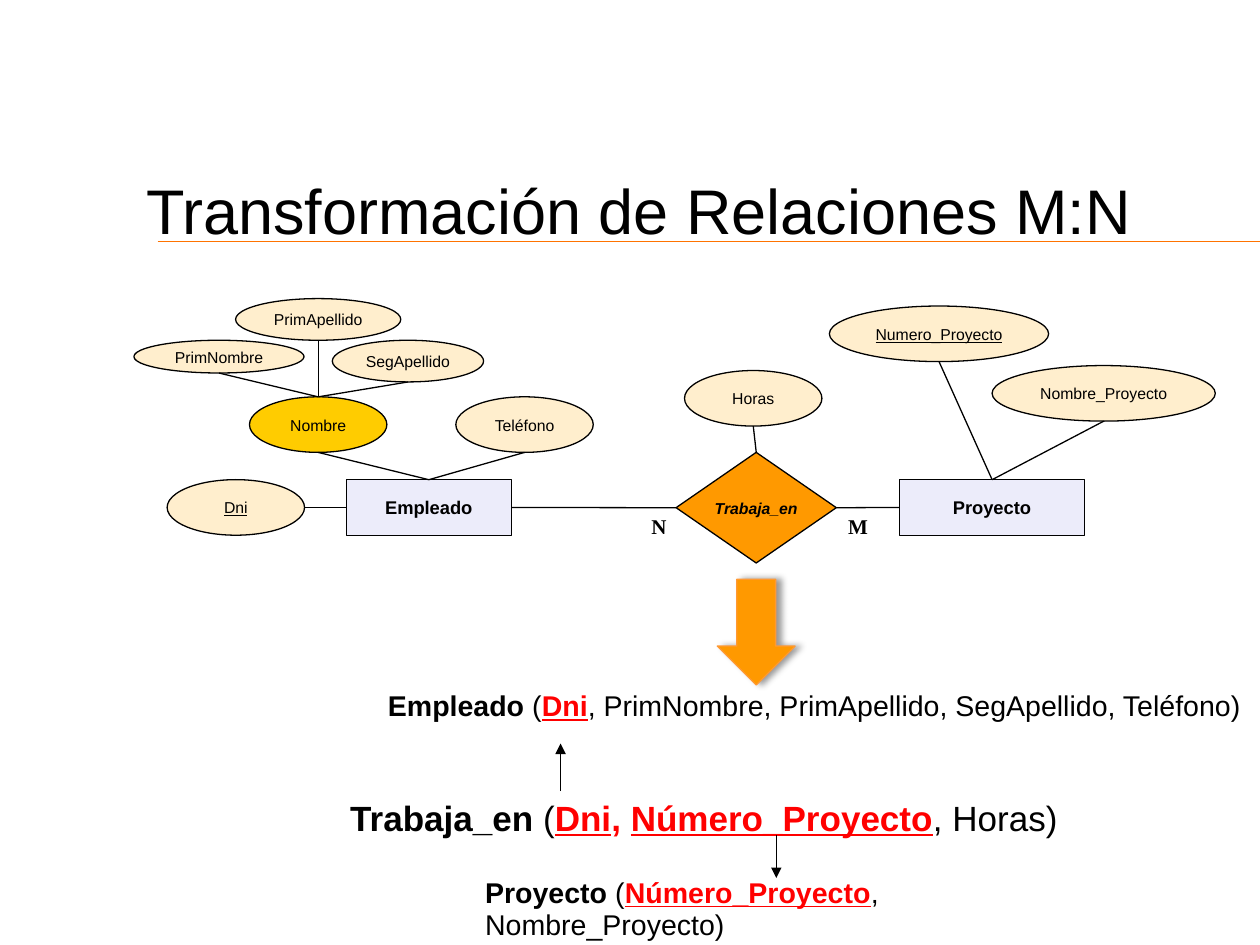
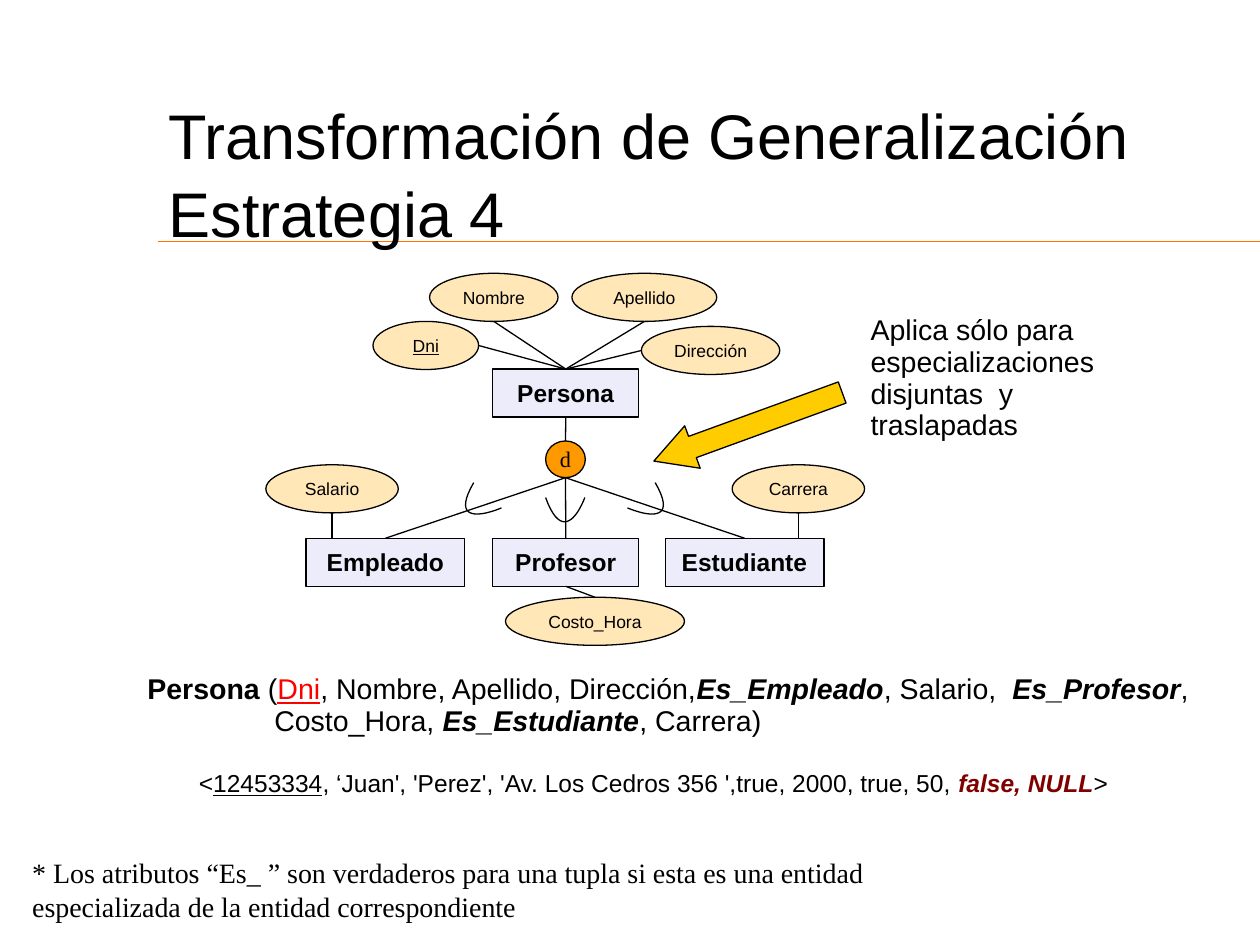
from dataclasses import dataclass

from lxml import etree
from pptx import Presentation
from pptx import util as u
from pptx.dml.color import RGBColor
from pptx.enum import shapes, text
from pptx.oxml import ns


@dataclass(frozen=True)
class Theme:
    sans: str = "Arial"
    serif: str = "Times New Roman"
    ink: str = "000000"
    red: str = "FF0000"
    maroon: str = "800000"
    rule: str = "FF7300"
    entity: str = "ECECFA"
    orange: str = "FF9900"
    arrow_edge: str = "FF9933"
    yellow: str = "FFCC00"
    line: float = 0.75
    title: float = 36
    schema: float = 16.3
    main_schema: float = 20
    sample: float = 14
    note: float = 16
    cardinality: float = 12
    spacing: float = 0.93


T = Theme()
Cm = u.Cm
AUTO = shapes.MSO_SHAPE
INSETS = (0.23, 0.15, 0.23, 0.1)
TITLE_INSETS = (0.25, 0.03, 0.25, 0.13)

MN_STYLES = {
    "attribute": (AUTO.OVAL, "FFEECD", 9, T.sans, ""),
    "key": (AUTO.OVAL, "FFEECD", 9, T.sans, "u"),
    "composite": (AUTO.OVAL, T.yellow, 9, T.sans, ""),
    "entity": (AUTO.RECTANGLE, T.entity, 10.5, T.sans, "b"),
    "relation": (AUTO.DIAMOND, T.orange, 9, T.sans, "bi"),
}
MN_NODES = [
    ("Trabaja_en", "relation", 13.63, 9.12, 3.23, 2.23),
    ("Empleado", "entity", 6.98, 9.67, 3.33, 1.12),
    ("Proyecto", "entity", 18.13, 9.67, 3.74, 1.12),
    ("Dni", "key", 3.37, 9.67, 2.77, 1.12),
    ("Teléfono", "attribute", 9.19, 8, 2.77, 1.12),
    ("Nombre", "composite", 5.03, 8, 2.77, 1.12),
    ("PrimNombre", "attribute", 2.7, 6.86, 3.43, 0.66),
    ("PrimApellido", "attribute", 4.75, 6.02, 3.33, 0.84),
    ("SegApellido", "attribute", 6.7, 6.86, 3.05, 0.84),
    ("Numero_Proyecto", "key", 16.72, 6.17, 4.42, 1.12),
    ("Nombre_Proyecto", "attribute", 20, 7.37, 4.5, 1.12),
    ("Horas", "attribute", 13.8, 7.47, 2.77, 1.12),
]
MN_LINKS = [
    ("Empleado", "right", "Trabaja_en", "left"),
    ("Trabaja_en", "right", "Proyecto", "left"),
    ("Dni", "right", "Empleado", "left"),
    ("Nombre", "bottom", "Empleado", "top"),
    ("Teléfono", "bottom", "Empleado", "top"),
    ("PrimNombre", "bottom", "Nombre", "top"),
    ("PrimApellido", "bottom", "Nombre", "top"),
    ("SegApellido", "bottom", "Nombre", "top"),
    ("Numero_Proyecto", "bottom", "Proyecto", "top"),
    ("Nombre_Proyecto", "bottom", "Proyecto", "top"),
    ("Horas", "bottom", "Trabaja_en", "top"),
]
MN_CARDINALITIES = [("N", 12.9), ("M", 16.87)]
MN_SCHEMAS = [
    ((6.83, 15.98, 17.12, 1.12), T.main_schema, [
        ("Trabaja_en ", "b"), ("(", ""), ("Dni", "bur"), (", ", "br"),
        ("Número_Proyecto", "bur"), (", Horas)", "")]),
    ((7.59, 13.79, 17.8, 0.86), T.schema, [
        ("Empleado", "b"), (" (", ""), ("Dni", "bur"),
        (", PrimNombre, PrimApellido, SegApellido, Teléfono)", "")]),
    ((9.55, 17.55, 12.85, 0.86), T.schema, [
        ("Proyecto", "b"), (" (", ""), ("Número_Proyecto", "bur"),
        (", Nombre_Proyecto)", "")]),
]
MN_REFERENCES = [((11.3, 15.95), (11.3, 14.99)),
                 ((15.65, 16.84), (15.65, 17.7))]

GEN_STYLES = {
    "attribute": (AUTO.OVAL, "FFE7B7", 10, T.sans, ""),
    "key": (AUTO.OVAL, "FFE7B7", 10, T.sans, "u"),
    "entity": (AUTO.RECTANGLE, T.entity, 14, T.sans, "b"),
    "disjoint": (AUTO.OVAL, T.orange, 12.7, T.serif, ""),
}
GEN_NODES = [
    ("Persona", "entity", 9.93, 7.44, 2.95, 0.97),
    ("Dni", "key", 7.52, 6.48, 2.13, 0.97),
    ("Nombre", "attribute", 8.66, 5.51, 2.59, 0.97),
    ("Apellido", "attribute", 11.53, 5.51, 2.92, 0.97),
    ("Dirección", "attribute", 12.93, 6.58, 2.79, 0.97),
    ("d", "disjoint", 11, 8.89, 0.8, 0.74),
    ("Empleado", "entity", 6.17, 10.85, 3.2, 0.97),
    ("Profesor", "entity", 9.93, 10.85, 2.95, 0.97),
    ("Estudiante", "entity", 13.41, 10.85, 3.2, 0.97),
    ("Salario", "attribute", 5.36, 9.37, 2.67, 0.97),
    ("Carrera", "attribute", 14.76, 9.37, 2.67, 0.97),
    ("Costo_Hora", "attribute", 10.19, 12.04, 3.61, 0.97),
]
GEN_LINKS = [
    ("Dni", "right", "Persona", "top"),
    ("Nombre", "bottom", "Persona", "top"),
    ("Apellido", "bottom", "Persona", "top"),
    ("Dirección", "left", "Persona", "top"),
    ("Persona", "bottom", "d", "top"),
    ("d", "bottom", "Empleado", "top"),
    ("d", "bottom", "Profesor", "top"),
    ("d", "bottom", "Estudiante", "top"),
    ("Salario", "bottom", "Empleado", "drop"),
    ("Carrera", "bottom", "Estudiante", "drop"),
    ("Profesor", "bottom", "Costo_Hora", "top"),
]
GEN_SUBSET_ARCS = [
    ((11, 10.03), (11.4, 11.13), (11.79, 10.03)),
    ((9.55, 9.73), (8.97, 10.74), (10.11, 10.24)),
    ((13.21, 9.73), (13.79, 10.74), (12.65, 10.24)),
]
GEN_SCHEMA = [
    [("Persona", "b"), (" (", ""), ("Dni", "ur"),
     (", Nombre, Apellido, Dirección,", ""), ("Es_Empleado", "bi"),
     (", Salario,  ", ""), ("Es_Profesor", "bi"), (",", "")],
    [("Costo_Hora, ", ""), ("Es_Estudiante", "bi"), (", Carrera)", "")],
]
GEN_SAMPLE = [
    ("<", ""), ("12453334", "u"),
    (", ‘Juan', 'Perez', 'Av. Los Cedros 356 ',true, 2000, true, 50, ", ""),
    ("false, NULL", "bim"), (">", ""),
]
GEN_SCOPE = ["Aplica sólo para", "especializaciones",
             "disjuntas  y traslapadas"]
GEN_NOTE = ("* Los atributos “Es_ ” son verdaderos para una tupla si esta es "
            "una entidad especializada de la entidad correspondiente")


def rgb(value):
    return RGBColor.from_string(value)


def plain(*lines):
    return [[(line, "")] for line in lines]


def write(frame, lines, size, font=T.sans, spacing=T.spacing, centred=False,
          wrap=False, insets=INSETS, hang=0):
    frame.word_wrap = wrap
    (frame.margin_left, frame.margin_top,
     frame.margin_right, frame.margin_bottom) = map(Cm, insets)
    for index, runs in enumerate(lines):
        paragraph = frame.paragraphs[0] if index == 0 else frame.add_paragraph()
        paragraph.line_spacing = spacing
        paragraph.alignment = (text.PP_ALIGN.CENTER if centred
                               else text.PP_ALIGN.LEFT)
        if index and hang:
            paragraph._p.get_or_add_pPr().set("marL", str(Cm(hang)))
        paragraph.font.name = font
        paragraph.font.size = u.Pt(size)
        paragraph.font.color.rgb = rgb(T.ink)
        for words, marks in runs:
            run = paragraph.add_run()
            run.text = words
            if "b" in marks:
                run.font.bold = True
            if "i" in marks:
                run.font.italic = True
            if "u" in marks:
                run.font.underline = True
            if "r" in marks or "m" in marks:
                run.font.color.rgb = rgb(T.red if "r" in marks else T.maroon)


def add_text(slide, box, lines, size, **options):
    write(slide.shapes.add_textbox(*map(Cm, box)).text_frame, lines, size,
          **options)


def add_line(slide, start, end, color=T.ink, arrow=False):
    line = slide.shapes.add_connector(
        shapes.MSO_CONNECTOR.STRAIGHT, *map(Cm, start + end))
    line.line.color.rgb = rgb(color)
    line.line.width = u.Pt(T.line)
    if arrow:
        etree.SubElement(line.line._get_or_add_ln(), ns.qn("a:tailEnd"),
                         type="triangle")
    etree.SubElement(line._element.spPr, ns.qn("a:effectLst"))


def paint(shape, fill, edge=T.ink):
    shape.shadow.inherit = False
    if fill:
        shape.fill.solid()
        shape.fill.fore_color.rgb = rgb(fill)
    else:
        shape.fill.background()
    shape.line.color.rgb = rgb(edge)
    shape.line.width = u.Pt(T.line)


def add_preset(slide, preset, box, fill, edge=T.ink):
    shape = slide.shapes.add_shape(preset, *map(Cm, box))
    paint(shape, fill, edge)
    return shape


def anchor(box, side):
    x, y, w, h = box
    return {"top": (x + w / 2, y), "bottom": (x + w / 2, y + h),
            "left": (x, y + h / 2), "right": (x + w, y + h / 2)}[side]


def add_diagram(slide, nodes, links, styles):
    boxes = {}
    for label, kind, *box in nodes:
        preset, fill, size, font, marks = styles[kind]
        node = add_preset(slide, preset, box, fill)
        node.text_frame.vertical_anchor = text.MSO_ANCHOR.MIDDLE
        write(node.text_frame, [[(label, marks)]], size, font, centred=True)
        boxes[label] = box
    for source, side, target, target_side in links:
        start = anchor(boxes[source], side)
        if target_side == "drop":
            end = (start[0], boxes[target][1])
        else:
            end = anchor(boxes[target], target_side)
        add_line(slide, start, end)


def add_arc(slide, start, bend, end, steps=24):
    points = []
    for step in range(steps + 1):
        t = step / steps
        a, b = (1 - t) ** 3, 3 * t * (1 - t) ** 2
        points.append(tuple(Cm(a * p + b * q + (1 - a - b) * r)
                            for p, q, r in zip(start, bend, end)))
    outline = slide.shapes.build_freeform(*points[0])
    outline.add_line_segments(points[1:], close=False)
    paint(outline.convert_to_shape(), None)


def add_shadow(shape):
    effects = shape._element.spPr.find(ns.qn("a:effectLst"))
    shadow = etree.SubElement(
        effects, ns.qn("a:outerShdw"), blurRad=str(u.Pt(4)),
        dist=str(u.Pt(3)), dir="0", rotWithShape="0")
    color = etree.SubElement(shadow, ns.qn("a:srgbClr"), val=T.ink)
    etree.SubElement(color, ns.qn("a:alpha"), val="40000")


def start_slide(deck, title_box, *title):
    slide = deck.slides.add_slide(deck.slide_layouts[6])
    add_line(slide, (3.18, 4.87), (25.4, 4.87), T.rule)
    add_text(slide, title_box, plain(*title), T.title, spacing=1.03,
             wrap=True, insets=TITLE_INSETS)
    return slide


def build_many_to_many(deck):
    slide = start_slide(deck, (2.7, 3.38, 22.45, 1.45),
                        "Transformación de Relaciones M:N")
    for box, size, runs in MN_SCHEMAS:
        add_text(slide, box, [runs], size)
    for start, end in MN_REFERENCES:
        add_line(slide, start, end, arrow=True)
    add_diagram(slide, MN_NODES, MN_LINKS, MN_STYLES)
    for letter, x in MN_CARDINALITIES:
        add_text(slide, (x, 10.24, 0.7, 0.69), [[(letter, "b")]],
                 T.cardinality, font=T.serif)
    result = add_preset(slide, AUTO.DOWN_ARROW, (14.46, 11.68, 1.57, 2.13),
                        T.orange, T.arrow_edge)
    add_shadow(result)


def build_generalization(deck):
    slide = start_slide(deck, (3.15, 1.88, 22.2, 3),
                        "Transformación de Generalización", "Estrategia 4")
    add_text(slide, (2.74, 13.44, 22.6, 1.52), GEN_SCHEMA, T.schema, hang=2.56)
    add_text(slide, (3.78, 15.39, 21.6, 1.02), [GEN_SAMPLE], T.sample)
    add_diagram(slide, GEN_NODES, GEN_LINKS, GEN_STYLES)
    for arc in GEN_SUBSET_ARCS:
        add_arc(slide, *arc)
    pointer = add_preset(slide, AUTO.LEFT_ARROW, (13.06, 8.15, 4.04, 0.91),
                         T.yellow)
    pointer.adjustments[1] = 0.91
    pointer.rotation = 340
    add_text(slide, (17.32, 6.2, 6.15, 2.16), plain(*GEN_SCOPE), T.schema)
    add_text(slide, (0.4, 17.12, 20.3, 1.63), plain(GEN_NOTE), T.note,
             font=T.serif, spacing=1.0, wrap=True,
             insets=(0.25, 0.13, 0.25, 0.13))


def main():
    deck = Presentation()
    deck.slide_width, deck.slide_height = Cm(25.4), Cm(19.05)
    build_many_to_many(deck)
    build_generalization(deck)
    deck.save("out.pptx")


if __name__ == "__main__":
    main()
